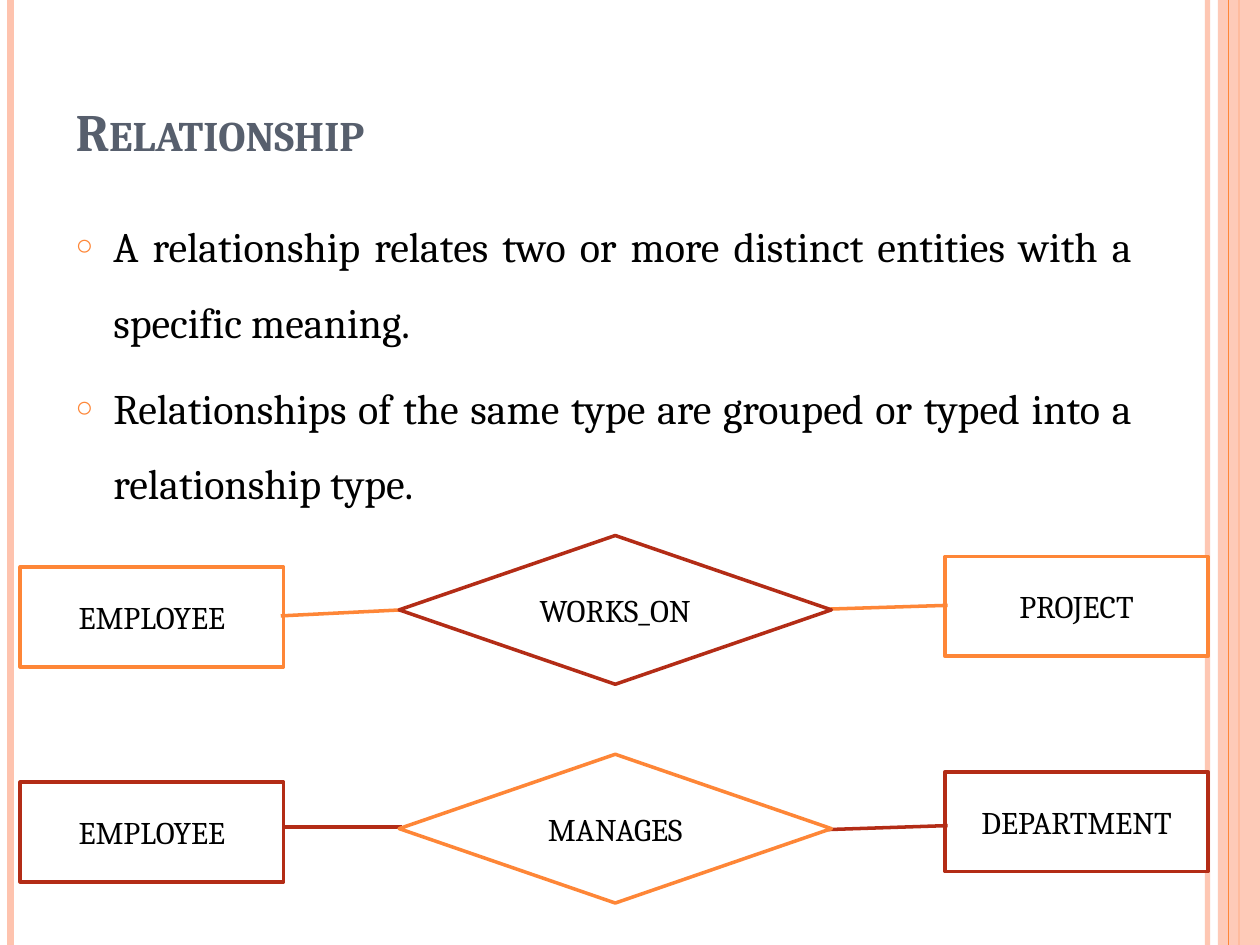
from lxml import etree
from pptx import Presentation
from pptx.dml.color import RGBColor
from pptx.enum import shapes, text
from pptx.oxml import ns
from pptx.util import Pt

FONT = "Cambria"
ORANGE, RED, PEACH = "FE8637", "B32C16", "FEC3AE"
WHITE, BLACK, SLATE = "FFFFFF", "000000", "575F6D"
SLIDE_W, SLIDE_H = 720, 540


def rgb(value):
    return RGBColor.from_string(value)


def add_xml(parent, tag, **attrs):
    return etree.SubElement(parent, ns.qn(tag), attrs)


def set_alpha(element, percent):
    color = element.find(".//" + ns.qn("a:srgbClr"))
    add_xml(color, "a:alpha", val=str(percent * 1000))


def place(sp, box):
    sp.left, sp.top, sp.width, sp.height = (Pt(v) for v in box)


def style_runs(p, size, color, bold=None):
    for r in p.runs:
        r.font.name, r.font.size, r.font.bold = FONT, Pt(size), bold
        r.font.color.rgb = rgb(color)


def add_stripe(s, x, width, color, alpha=100):
    line = s.shapes.add_connector(
        shapes.MSO_CONNECTOR.STRAIGHT, Pt(x), 0, Pt(x), Pt(SLIDE_H))
    line.line.width = Pt(width)
    line.line.color.rgb = rgb(color)
    add_xml(line._element.spPr, "a:effectLst")
    if alpha < 100:
        set_alpha(line._element.spPr, alpha)


def add_borders(s):
    add_stripe(s, 690, 3, PEACH, 93)
    add_stripe(s, 6, 4.5, PEACH)
    add_stripe(s, 708, 1.5, ORANGE)
    band = s.shapes.add_shape(shapes.MSO_SHAPE.RECTANGLE,
                              Pt(696), 0, Pt(24), Pt(SLIDE_H))
    band.shadow.inherit = False
    band.fill.solid()
    band.fill.fore_color.rgb = rgb(PEACH)
    set_alpha(band._element.spPr, 87)
    band.line.fill.background()
    add_stripe(s, 702, 0.75, ORANGE)


def add_title(s, box, words):
    title = s.shapes.title
    place(title, box)
    tf = title.text_frame
    tf.text = words
    tf.auto_size = text.MSO_AUTO_SIZE.NONE
    tf.vertical_anchor = text.MSO_ANCHOR.BOTTOM
    p = tf.paragraphs[0]
    p.alignment = text.PP_ALIGN.LEFT
    style_runs(p, 30, SLATE, True)
    p.runs[0].font._element.set("cap", "small")


def add_bullets(s, box, items):
    body = s.placeholders[1]
    place(body, box)
    tf = body.text_frame
    tf.text = "\n".join(items)
    tf.auto_size = text.MSO_AUTO_SIZE.NONE
    for p in tf.paragraphs:
        p.alignment = text.PP_ALIGN.JUSTIFY
        p.line_spacing = 1.5
        p.space_before = Pt(6)
        style_runs(p, 24, BLACK)
        # Hollow orange bullet with a hanging indent
        pPr = p._p.get_or_add_pPr()
        pPr.set("marL", str(Pt(21.6)))
        pPr.set("indent", str(-Pt(21.6)))
        add_xml(add_xml(pPr, "a:buClr"), "a:srgbClr", val=ORANGE)
        add_xml(pPr, "a:buSzPct", val="70000")
        add_xml(pPr, "a:buChar", char="○")


def add_node(s, kind, box, label, color, adjustments=()):
    sp = s.shapes.add_shape(kind, *(Pt(v) for v in box))
    sp.shadow.inherit = False
    for i, value in enumerate(adjustments):
        sp.adjustments[i] = value
    sp.fill.solid()
    sp.fill.fore_color.rgb = rgb(WHITE)
    sp.line.color.rgb = rgb(color)
    sp.line.width = Pt(2)
    tf = sp.text_frame
    tf.text = label
    tf.word_wrap = True
    tf.vertical_anchor = text.MSO_ANCHOR.MIDDLE
    tf.paragraphs[0].alignment = text.PP_ALIGN.CENTER
    style_runs(tf.paragraphs[0], 18, BLACK)


def add_relationship(s, box, left, relation, right):
    """Two entities whose callout lines reach the diamond between them.

    An entity is (label, top offset, callout adjustments)."""
    x, y, w, h = box
    entity_w, entity_h, diamond_w = 150.4, 57, 247
    (entity_color, diamond_color) = relation[1:]
    for (label, dy, adjustments), entity_x in (
            (right, x + w - entity_w), (left, x)):
        add_node(s, shapes.MSO_SHAPE.LINE_CALLOUT_1,
                 (entity_x, y + dy, entity_w, entity_h),
                 label, entity_color, adjustments)
    add_node(s, shapes.MSO_SHAPE.FLOWCHART_DECISION,
             (x + 216.5, y, diamond_w, h), relation[0], diamond_color)


def main():
    prs = Presentation()
    prs.slide_width, prs.slide_height = Pt(SLIDE_W), Pt(SLIDE_H)
    s = prs.slides.add_slide(prs.slide_layouts[1])

    # Borders and text
    add_borders(s)
    add_title(s, (36, 6, 588, 90), "Relationship")
    add_bullets(s, (36, 108, 618, 384), [
        "A relationship relates two or more distinct entities with a "
        "specific meaning.",
        "Relationships of the same type are grouped or typed into a "
        "relationship type.",
    ])

    # Relationship diagrams
    add_relationship(
        s, (11.6, 306, 678.8, 85),
        ("EMPLOYEE", 18, (0.43, 1.45, 0.49, 0.99)),
        ("WORKS_ON", ORANGE, RED),
        ("PROJECT", 12, (0.49, 0.01, 0.53, -0.47)))
    add_relationship(
        s, (11.6, 431, 678.8, 85),
        ("EMPLOYEE", 16, (0.45, 1.45, 0.45, 1)),
        ("MANAGES", RED, ORANGE),
        ("DEPARTMENT", 10, (0.54, 0.01, 0.58, -0.45)))

    prs.save("out.pptx")


if __name__ == "__main__":
    main()
